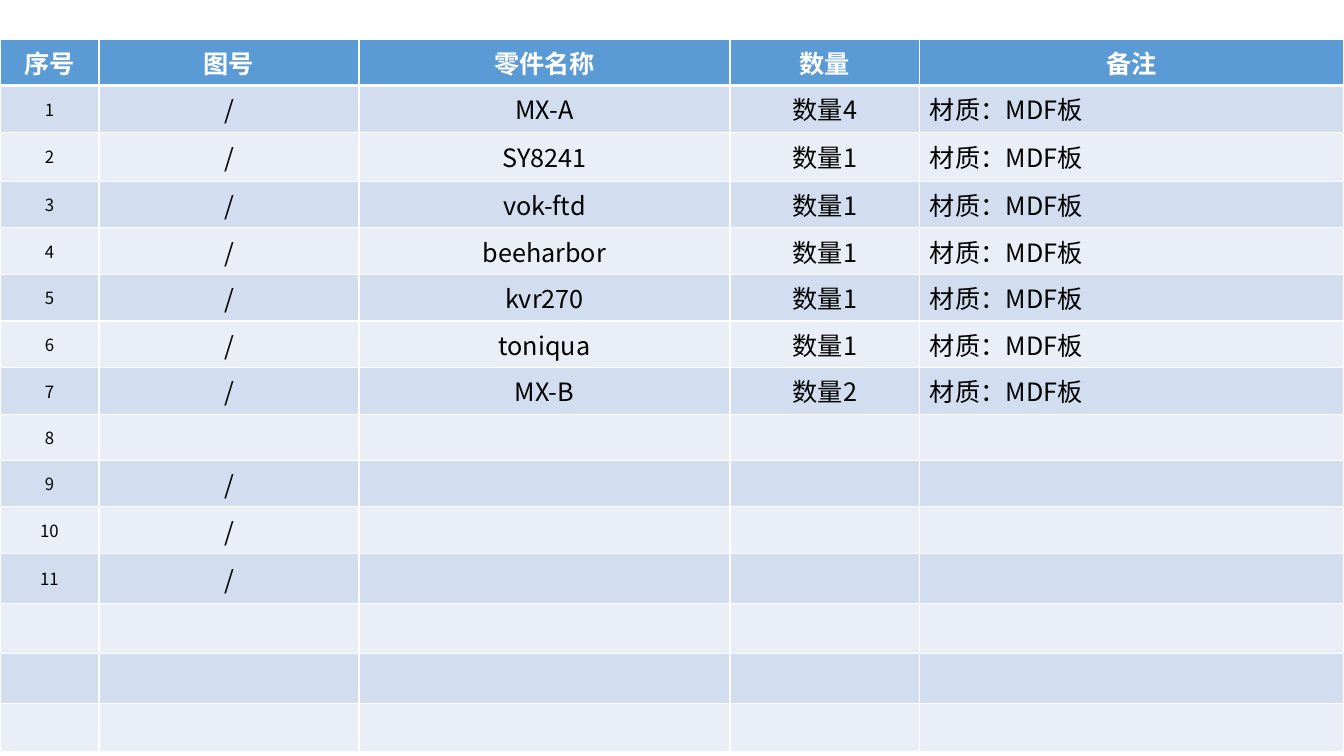
from pptx import Presentation
from pptx.dml.color import RGBColor
from pptx.enum.text import MSO_ANCHOR as Anchor, PP_ALIGN as Align
from pptx.oxml.ns import qn
from pptx.util import Pt
from lxml.etree import SubElement

EMU_PER_PX = 12192000 / 1344

THEME = {
    "font": "Noto Sans CJK SC",
    "header_fill": "5B9BD5",
    "bands": ("D2DEEF", "EAEFF7"),
    "border": "FFFFFF",
    "header_text": "FFFFFF",
    "body_text": "000000",
    "text_size": 18,
    "index_size": 12,
}


def px(length):
    return int(length * EMU_PER_PX)


def write_cell(cell, text, *, fill, color, size, bold=False, align=Align.CENTER, bottom=1):
    cell.vertical_anchor = Anchor.MIDDLE
    properties = cell._tc.get_or_add_tcPr()
    for side, width in (("L", 1), ("R", 1), ("T", 1), ("B", bottom)):
        line = SubElement(properties, qn(f"a:ln{side}"), w=str(Pt(width)))
        color_fill = SubElement(line, qn("a:solidFill"))
        SubElement(color_fill, qn("a:srgbClr"), val=THEME["border"])
    cell.fill.solid()
    cell.fill.fore_color.rgb = RGBColor.from_string(fill)
    paragraph = cell.text_frame.paragraphs[0]
    paragraph.alignment = align
    if text:
        run = paragraph.add_run()
        run.text = text
        run.font.name = THEME["font"]
        run.font.size = Pt(size)
        run.font.bold = bold
        run.font.color.rgb = RGBColor.from_string(color)
        SubElement(run._r.get_or_add_rPr(), qn("a:ea"), typeface=THEME["font"])


headers = ["序号", "图号", "零件名称", "数量", "备注"]
parts = [
    ("MX-A", 4),
    ("SY8241", 1),
    ("vok-ftd", 1),
    ("beeharbor", 1),
    ("kvr270", 1),
    ("toniqua", 1),
    ("MX-B", 2),
]
material = "材质：MDF板"

rows = [[str(number), "/", name, f"数量{count}", material]
        for number, (name, count) in enumerate(parts, 1)]
rows.append(["8", "", "", "", ""])
rows += [[str(number), "/", "", "", ""] for number in range(9, 12)]
rows += [[""] * len(headers) for _ in range(3)]

column_widths = [99, 260, 371, 190, 424]
row_heights = [45, 46, 49] + [46] * 8 + [50] * 3 + [48]

presentation = Presentation()
presentation.slide_width = px(1344)
presentation.slide_height = px(756)
slide = presentation.slides.add_slide(presentation.slide_layouts[6])

frame = slide.shapes.add_table(len(row_heights), len(headers), 0, px(39),
                               px(sum(column_widths)), px(sum(row_heights)))
table = frame.table
for column, width in zip(table.columns, column_widths):
    column.width = px(width)
for row, height in zip(table.rows, row_heights):
    row.height = px(height)

for column_index, header in enumerate(headers):
    write_cell(table.cell(0, column_index), header, fill=THEME["header_fill"],
               color=THEME["header_text"], size=THEME["text_size"], bold=True, bottom=3)

for row_index, values in enumerate(rows, 1):
    for column_index, value in enumerate(values):
        write_cell(table.cell(row_index, column_index), value,
                   fill=THEME["bands"][(row_index - 1) % 2], color=THEME["body_text"],
                   size=THEME["text_size"] if column_index else THEME["index_size"],
                   align=Align.LEFT if column_index == 4 else Align.CENTER)

presentation.save("out.pptx")
